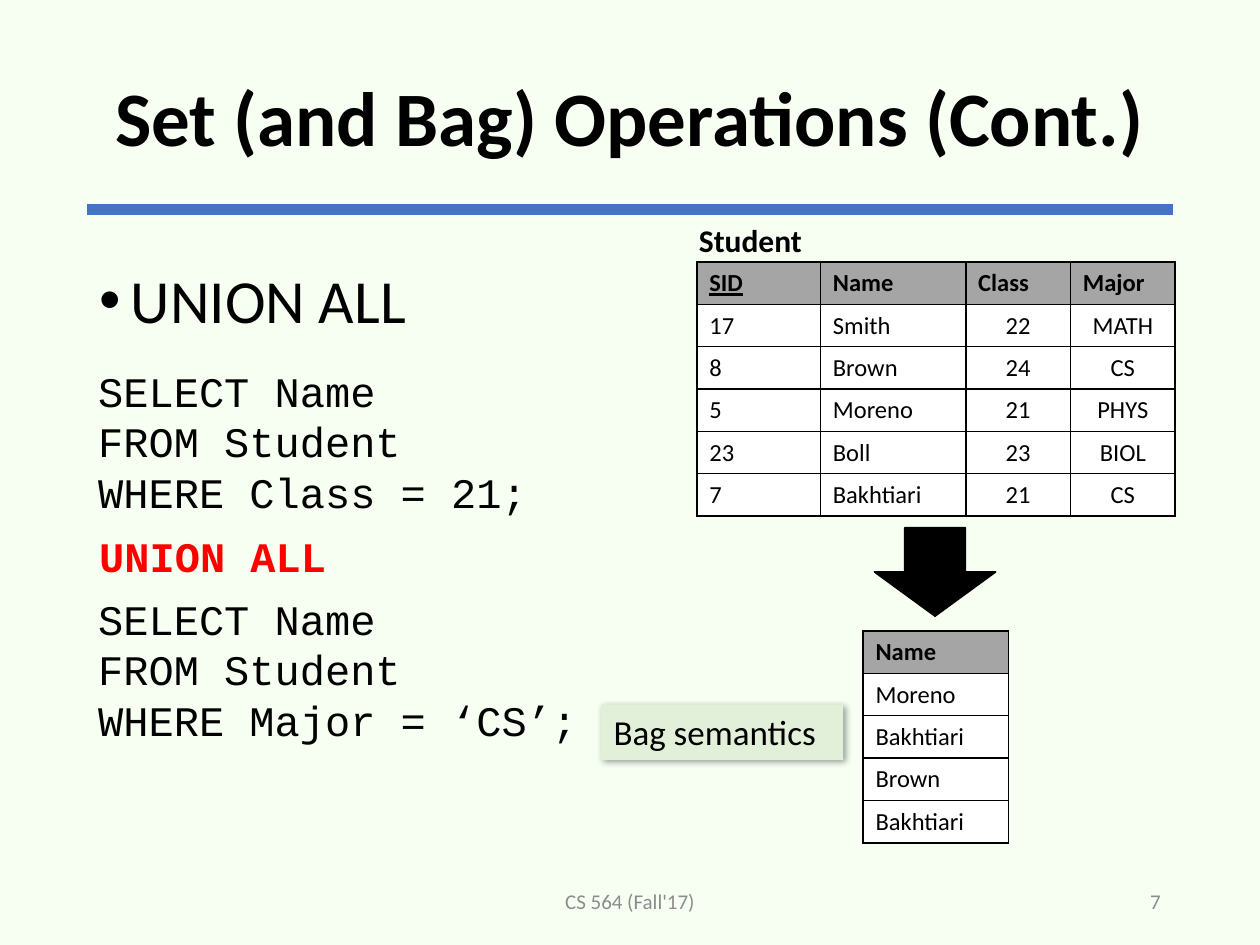
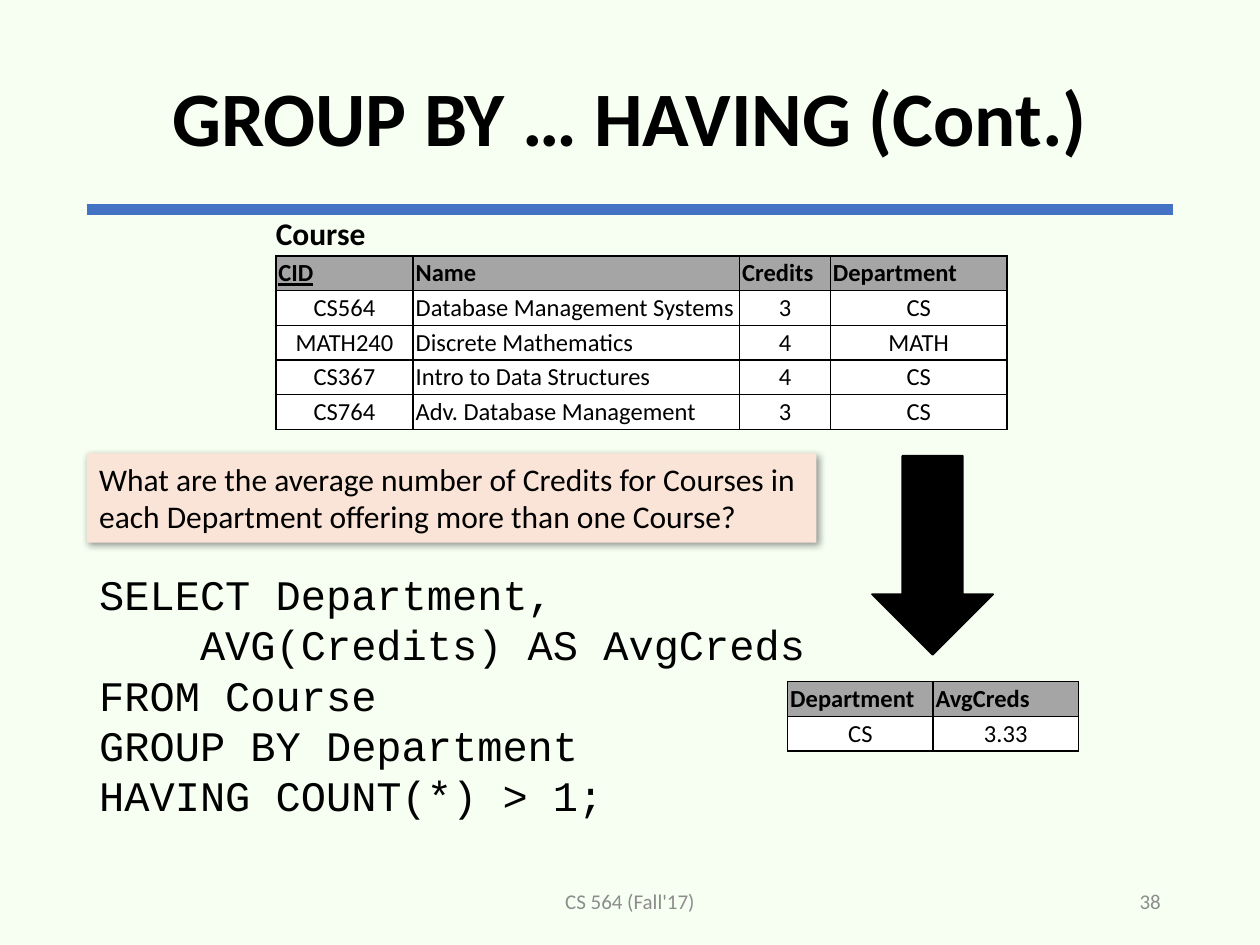
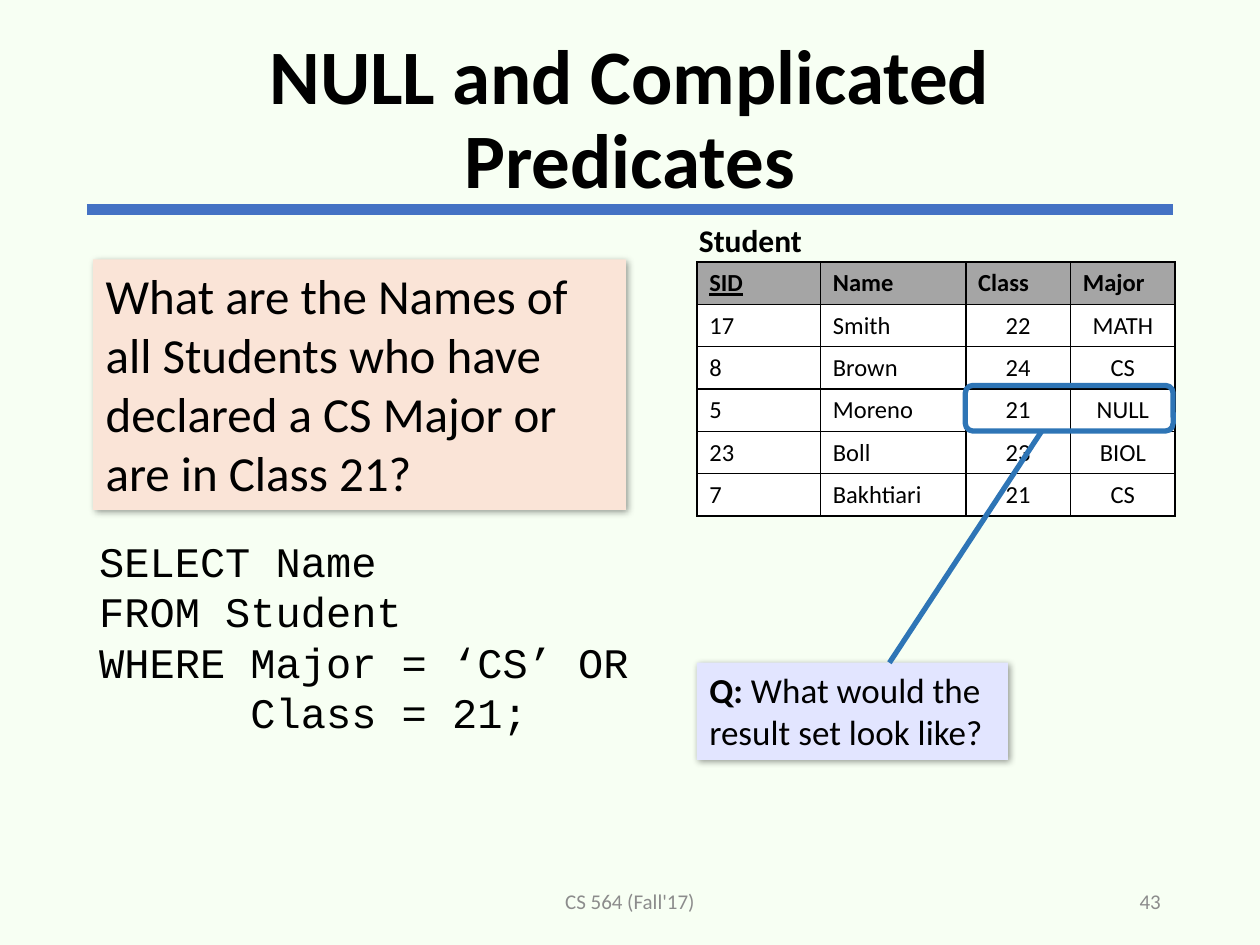
from lxml import etree
from pptx import Presentation
from pptx.dml.color import RGBColor
from pptx.enum.shapes import MSO_CONNECTOR, MSO_SHAPE
from pptx.enum.text import MSO_ANCHOR, PP_ALIGN
from pptx.oxml.ns import qn
from pptx.util import Cm, Pt

LEFT, CENTER, RIGHT = PP_ALIGN.LEFT, PP_ALIGN.CENTER, PP_ALIGN.RIGHT
TOP, MIDDLE = MSO_ANCHOR.TOP, MSO_ANCHOR.MIDDLE
RECTANGLE, ROUNDED = MSO_SHAPE.RECTANGLE, MSO_SHAPE.ROUNDED_RECTANGLE
DOWN_ARROW, STRAIGHT = MSO_SHAPE.DOWN_ARROW, MSO_CONNECTOR.STRAIGHT

BACKGROUND = RGBColor(0xF7, 0xFF, 0xF3)
BLACK = RGBColor(0, 0, 0)
WHITE = RGBColor(0xFF, 0xFF, 0xFF)
RED = RGBColor(0xFF, 0, 0)
FOOTER_GRAY = RGBColor(0x8C, 0x8C, 0x8C)
HEADER_GRAY = RGBColor(0xA5, 0xA5, 0xA5)
RULE_BLUE = RGBColor(0x44, 0x72, 0xC4)
MARK_BLUE = RGBColor(0x2E, 0x75, 0xB6)
PALE_GREEN = RGBColor(0xE2, 0xF0, 0xD9)
PALE_ORANGE = RGBColor(0xFA, 0xE4, 0xD7)
PALE_VIOLET = RGBColor(0xE2, 0xE5, 0xFF)

BODY_FONT, CODE_FONT = "Calibri", "Courier New"
FOOTER = "CS 564 (Fall'17)"
PAGE_LEFT, PAGE_WIDTH = 1.75, 21.9
RULE_Y = 4.22
KEYS = ("SID", "CID")

# Lengths are centimetres; boxes are left, top, width, height.
STUDENT_COLUMNS = (2.49, 2.93, 2.11, 2.11)
STUDENT_AT = (14.05, 5.28)
COURSE_COLUMNS = (2.77, 6.58, 1.83, 3.56)
NAME_COLUMN = (2.93,)
AVERAGE_COLUMNS = (2.93, 2.93)
ROOMY = {"row_height": 0.85, "margins": (0.25, 0.13)}
TIGHT = {"row_height": 0.7, "margins": (0.05, 0.05)}

COURSES = [
    ("CID", "Name", "Credits", "Department"),
    ("CS564", "Database Management Systems", "3", "CS"),
    ("MATH240", "Discrete Mathematics", "4", "MATH"),
    ("CS367", "Intro to Data Structures", "4", "CS"),
    ("CS764", "Adv. Database Management", "3", "CS"),
]
AVERAGES = [("Department", "AvgCreds"), ("CS", "3.33")]
UNION_NAMES = [("Name",), ("Moreno",), ("Bakhtiari",), ("Brown",), ("Bakhtiari",)]

CLASS_QUERY = ["SELECT Name", "FROM Student", "WHERE Class = 21;"]
MAJOR_QUERY = ["SELECT Name", "FROM Student", "WHERE Major = ‘CS’;"]
HAVING_QUERY = [
    "SELECT Department,",
    "    AVG(Credits) AS AvgCreds",
    "FROM Course",
    "GROUP BY Department",
    "HAVING COUNT(*) > 1;",
]
NULL_QUERY = ["SELECT Name", "FROM Student", "WHERE Major = ‘CS’ OR", "      Class = 21;"]
CREDITS_QUESTION = ("What are the average number of Credits for Courses in "
                    "each Department offering more than one Course?")
NAMES_QUESTION = ("What are the Names of all Students who have declared "
                  "a CS Major or are in Class 21?")


def student_rows(moreno_major):
    return [
        ("SID", "Name", "Class", "Major"),
        ("17", "Smith", "22", "MATH"),
        ("8", "Brown", "24", "CS"),
        ("5", "Moreno", "21", moreno_major),
        ("23", "Boll", "23", "BIOL"),
        ("7", "Bakhtiari", "21", "CS"),
    ]


def lengths(values):
    return [Cm(value) for value in values]


def format_span(span, size, font=BODY_FONT, color=BLACK, bold=False):
    span.font.name = font
    span.font.size = Pt(size)
    span.font.color.rgb = color
    span.font.bold = bold


def fill_text(shape, lines, size, align=LEFT, anchor=TOP, **style):
    frame = shape.text_frame
    frame.word_wrap = True
    frame.vertical_anchor = anchor
    frame.text = "\n".join(lines)
    for para in frame.paragraphs:
        para.alignment = align
        for span in para.runs:
            format_span(span, size, **style)
    return frame.paragraphs[0]


def add_text(page, box, lines, size, **style):
    """Add a text box and return its first paragraph."""
    return fill_text(page.shapes.add_textbox(*lengths(box)), lines, size, **style)


def add_code(page, box, lines, **style):
    add_text(page, box, lines, 24, font=CODE_FONT, **style)


def add_bullet(page, box, text, size):
    properties = add_text(page, box, [text], size)._p.get_or_add_pPr()
    properties.set("marL", str(Cm(0.64)))
    properties.set("indent", str(-Cm(0.64)))
    etree.SubElement(properties, qn("a:buFont"), typeface="Arial")
    etree.SubElement(properties, qn("a:buChar"), char="•")


def add_line(page, start, end, color, width):
    line = page.shapes.add_connector(STRAIGHT, *lengths(start + end))
    line.line.color.rgb = color
    line.line.width = Pt(width)
    etree.SubElement(line._element.spPr, qn("a:effectLst"))


def add_shape(page, kind, box, fill=None, outline=None, width=1):
    shape = page.shapes.add_shape(kind, *lengths(box))
    shape.shadow.inherit = False
    if fill is None:
        shape.fill.background()
    else:
        shape.fill.solid()
        shape.fill.fore_color.rgb = fill
    if outline is None:
        shape.line.fill.background()
    else:
        shape.line.color.rgb = outline
        shape.line.width = Pt(width)
    return shape


def add_callout(page, box, text, size, fill, lead=None):
    """Add a shaded note, with an optional bold lead-in."""
    note = add_shape(page, RECTANGLE, box, fill)
    effects = note._element.spPr.find(qn("a:effectLst"))
    shadow = etree.SubElement(effects, qn("a:outerShdw"), blurRad=str(Pt(4)),
                              dist=str(Pt(1.5)), dir="2700000", algn="tl", rotWithShape="0")
    color = etree.SubElement(shadow, qn("a:srgbClr"), val=str(BLACK))
    etree.SubElement(color, qn("a:alpha"), val="40000")
    para = fill_text(note, [lead or text], size, bold=bool(lead))
    if lead:
        span = para.add_run()
        span.text = text
        format_span(span, size)


def add_borders(cell):
    properties = cell._tc.get_or_add_tcPr()
    for side in ("lnL", "lnR", "lnT", "lnB"):
        border = etree.SubElement(properties, qn(f"a:{side}"), w=str(Pt(1)))
        fill = etree.SubElement(border, qn("a:solidFill"))
        etree.SubElement(fill, qn("a:srgbClr"), val=str(BLACK))


def add_grid(page, at, columns, rows, centered, row_height, margins):
    """Add a bordered table whose listed columns are centred below the header."""
    size = (sum(columns), row_height * len(rows))
    table = page.shapes.add_table(len(rows), len(columns), *lengths(at + size)).table
    table.horz_banding = False
    for column, width in zip(table.columns, columns):
        column.width = Cm(width)
    side, edge = lengths(margins)
    for r, values in enumerate(rows):
        table.rows[r].height = Cm(row_height)
        for c, value in enumerate(values):
            cell = table.cell(r, c)
            add_borders(cell)
            cell.fill.solid()
            cell.fill.fore_color.rgb = WHITE if r else HEADER_GRAY
            cell.margin_left = cell.margin_right = side
            cell.margin_top = cell.margin_bottom = edge
            para = cell.text_frame.paragraphs[0]
            para.text = value
            para.alignment = CENTER if r and c in centered else LEFT
            format_span(para.runs[0], 14, bold=r == 0)
            para.runs[0].font.underline = r == 0 and value in KEYS


def add_students(page, moreno_major):
    add_text(page, (13.84, 4.34, 2.8, 1.02), ["Student"], 18, bold=True)
    add_grid(page, STUDENT_AT, STUDENT_COLUMNS, student_rows(moreno_major), (2, 3), **ROOMY)


def add_page(deck, title, number):
    """Add a slide with the shared rule, title and footer."""
    page = deck.slides.add_slide(deck.slide_layouts[6])
    page.background.fill.solid()
    page.background.fill.fore_color.rgb = BACKGROUND
    add_line(page, (PAGE_LEFT, RULE_Y), (PAGE_LEFT + PAGE_WIDTH, RULE_Y), RULE_BLUE, 6)
    heading = add_text(page, (PAGE_LEFT, 0.61, PAGE_WIDTH, 3.68), [title], 44,
                       align=CENTER, anchor=MIDDLE, bold=True)
    heading.line_spacing = 0.9
    for left, width, text, align in ((8.41, 8.58, FOOTER, CENTER),
                                     (17.93, 5.72, str(number), RIGHT)):
        add_text(page, (left, 17.65, width, 1.02), [text], 12,
                 align=align, anchor=MIDDLE, color=FOOTER_GRAY)
    return page


def build_union(deck):
    page = add_page(deck, "Set (and Bag) Operations (Cont.)", 7)
    add_bullet(page, (PAGE_LEFT, 5.16, 11, 1.8), "UNION ALL", 35)
    add_students(page, "PHYS")
    add_shape(page, DOWN_ARROW, (17.63, 10.64, 2.44, 1.78), BLACK, BLACK)
    add_code(page, (1.73, 7.24, 12.7, 3.33), CLASS_QUERY)
    add_code(page, (1.75, 10.57, 12.7, 1.27), ["UNION ALL"], color=RED, bold=True)
    add_code(page, (1.73, 11.84, 12.7, 3.33), MAJOR_QUERY)
    add_grid(page, (17.4, 12.72), NAME_COLUMN, UNION_NAMES, (), **ROOMY)
    add_callout(page, (12.12, 14.2, 4.88, 1.12), "Bag semantics", 20, PALE_GREEN)


def build_having(deck):
    page = add_page(deck, "GROUP BY … HAVING (Cont.)", 38)
    add_code(page, (PAGE_LEFT, 11.33, 15.24, 5.44), HAVING_QUERY)
    add_shape(page, DOWN_ARROW, (17.58, 9.19, 2.44, 4.01), BLACK, BLACK)
    add_grid(page, (5.56, 5.16), COURSE_COLUMNS, COURSES, (0, 2, 3), **TIGHT)
    add_text(page, (5.31, 4.19, 2.7, 1.02), ["Course"], 18, bold=True)
    add_callout(page, (PAGE_LEFT, 9.14, 14.71, 1.8), CREDITS_QUESTION, 18, PALE_ORANGE)
    add_grid(page, (15.88, 13.74), AVERAGE_COLUMNS, AVERAGES, (0, 1), **TIGHT)


def build_null(deck):
    page = add_page(deck, "NULL and Complicated Predicates", 43)
    add_students(page, "NULL")
    add_code(page, (PAGE_LEFT, 10.67, 11.35, 4.55), NULL_QUERY)
    add_callout(page, (1.88, 5.23, 10.74, 5.05), NAMES_QUESTION, 28, PALE_ORANGE)
    add_callout(page, (14.05, 13.36, 6.27, 1.96), "What would the result set look like?",
                20, PALE_VIOLET, lead="Q: ")
    add_shape(page, ROUNDED, (19.46, 7.77, 4.19, 0.92), outline=MARK_BLUE, width=3)
    add_line(page, (17.93, 13.36), (21, 8.69), MARK_BLUE, 3)


def main():
    deck = Presentation()
    deck.slide_width, deck.slide_height = Cm(25.4), Cm(19.05)
    for build in (build_union, build_having, build_null):
        build(deck)
    deck.save("out.pptx")


if __name__ == "__main__":
    main()
